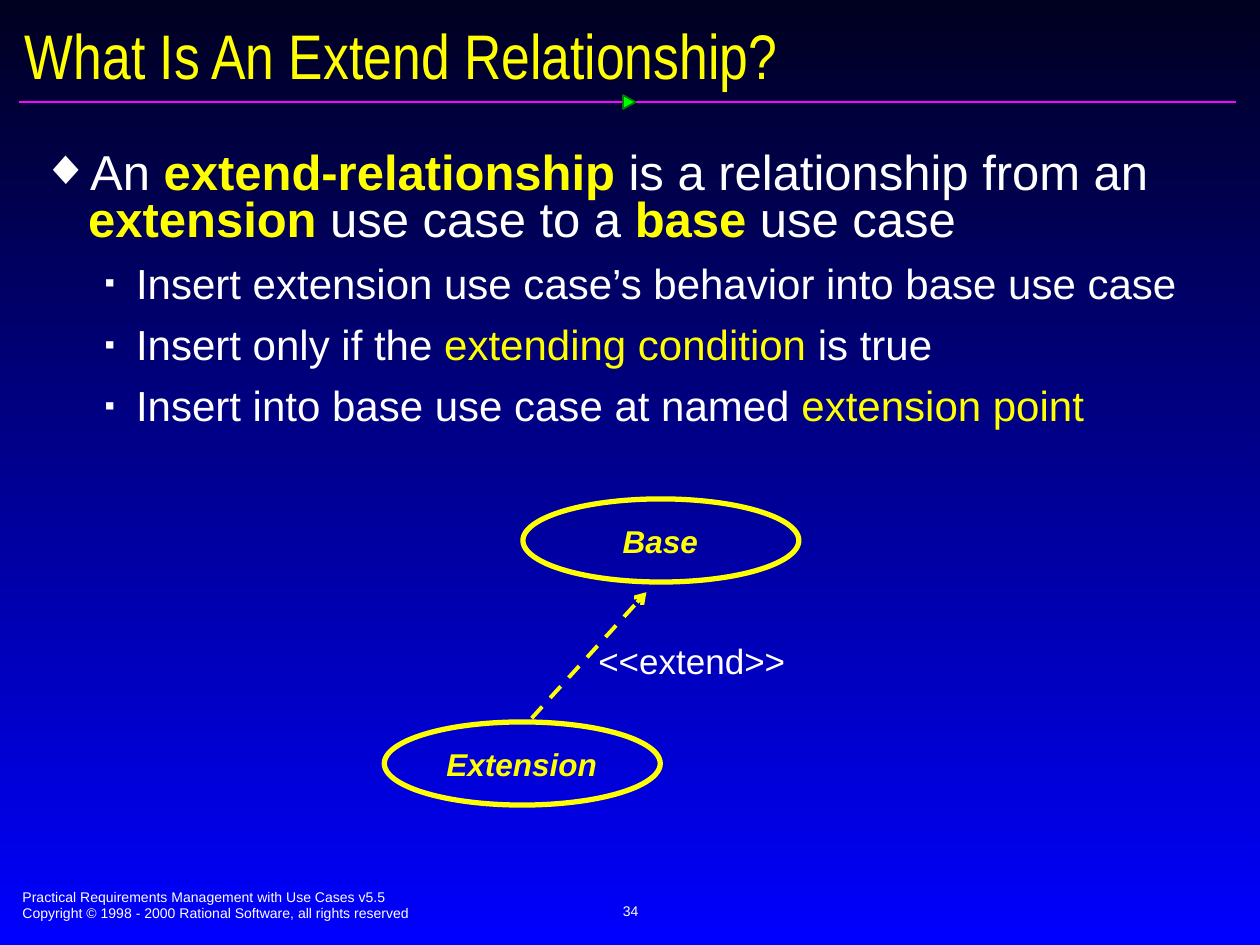
from dataclasses import dataclass

from lxml.etree import SubElement
from pptx import Presentation
from pptx.dml.color import RGBColor
from pptx.enum.dml import MSO_LINE
from pptx.enum.shapes import MSO_CONNECTOR, MSO_SHAPE
from pptx.enum.text import MSO_ANCHOR, MSO_AUTO_SIZE, PP_ALIGN
from pptx.oxml.ns import qn
from pptx.util import Inches, Pt

WHITE, YELLOW = "FFFFFF", "FFFF00"


@dataclass
class Span:
    text: str
    color: str = WHITE
    bold: bool = False


@dataclass
class Bullet:
    spans: list[Span]
    level: int = 1


@dataclass
class Level:
    symbol: str
    symbol_percent: int
    margin: float
    hanging: float
    spacing: float
    size: int


@dataclass
class Label:
    lines: list[str]
    left: float
    top: float
    width: float
    height: float
    size: int
    color: str = WHITE
    font: str = "Arial"
    centered: bool = False
    emphasis: bool = False
    middle: bool = False
    wrap: bool = False
    grow: bool = False


@dataclass
class UseCase:
    left: float
    top: float
    label: Label


LEVELS = [
    Level("◆", 100, 0.37, 0.37, 0.8, 28),
    Level("▪", 70, 0.75, 0.25, 0.87, 24),
]

BULLETS = [
    Bullet([
        Span("An "),
        Span("extend-relationship ", YELLOW, True),
        Span("is a relationship from an "),
        Span("extension", YELLOW, True),
        Span(" use case to a "),
        Span("base", YELLOW, True),
        Span(" use case"),
    ], level=0),
    Bullet([Span("Insert extension use case’s behavior into base use case")]),
    Bullet([Span("Insert only if the "), Span("extending condition", YELLOW), Span(" is true")]),
    Bullet([Span("Insert into base use case at named "), Span("extension point", YELLOW)]),
]

LABELS = [
    Label(["Practical Requirements Management with Use Cases v5.5",
           "Copyright © 1998 - 2000 Rational Software, all rights reserved"],
          0.08, 7, 5.1, 0.37, 8, wrap=True, grow=True),
    Label(["34"], 3.42, 6.98, 3.17, 0.5, 8, centered=True, middle=True),
    Label(["What Is An Extend Relationship?"], 0.1, 0.14, 9.84, 0.58, 36,
          YELLOW, "Arial Narrow", middle=True, wrap=True),
    Label(["<<extend>>"], 4.65, 5.03, 1.8, 0.45, 20),
]

USE_CASES = [
    UseCase(3.05, 5.73, Label(["Extension"], 3.34, 5.86, 1.6, 0.42, 18, YELLOW,
                              centered=True, emphasis=True)),
    UseCase(4.15, 3.96, Label(["Base"], 4.74, 4.09, 1, 0.42, 18, YELLOW,
                              centered=True, emphasis=True)),
]


def rgb(color: str) -> RGBColor:
    return RGBColor.from_string(color)


def add_text_frame(page, left: float, top: float, width: float, height: float, inset: float):
    box = page.shapes.add_textbox(Inches(left), Inches(top), Inches(width), Inches(height))
    frame = box.text_frame
    frame.margin_left = frame.margin_right = Inches(inset)
    frame.margin_top = frame.margin_bottom = Inches(inset / 2)
    return frame


def add_label(page, label: Label) -> None:
    frame = add_text_frame(page, label.left, label.top, label.width, label.height, 0.1)
    frame.word_wrap = label.wrap
    frame.auto_size = MSO_AUTO_SIZE.SHAPE_TO_FIT_TEXT if label.grow else MSO_AUTO_SIZE.NONE
    frame.vertical_anchor = MSO_ANCHOR.MIDDLE if label.middle else MSO_ANCHOR.TOP
    frame.text = "\n".join(label.lines)
    for para in frame.paragraphs:
        para.alignment = PP_ALIGN.CENTER if label.centered else PP_ALIGN.LEFT
        para.font.name = label.font
        para.font.size = Pt(label.size)
        para.font.bold = para.font.italic = label.emphasis
        para.font.color.rgb = rgb(label.color)


def set_bullet(para, level: Level) -> None:
    properties = para._p.get_or_add_pPr()
    properties.set("marL", str(Inches(level.margin)))
    properties.set("indent", str(-Inches(level.hanging)))
    color = SubElement(properties, qn("a:buClr"))
    SubElement(color, qn("a:srgbClr"), val=WHITE)
    SubElement(properties, qn("a:buSzPct"), val=str(level.symbol_percent * 1000))
    SubElement(properties, qn("a:buFont"), typeface="Arial")
    SubElement(properties, qn("a:buChar"), char=level.symbol)


def add_body(page, bullets: list[Bullet]) -> None:
    frame = add_text_frame(page, 0.21, 1.15, 9.32, 2.54, 0.12)
    frame.word_wrap = True
    for index, bullet in enumerate(bullets):
        para = frame.add_paragraph() if index else frame.paragraphs[0]
        level = LEVELS[bullet.level]
        para.level = bullet.level
        para.line_spacing = level.spacing
        para.space_before = Pt(5 if index else 0)
        para.space_after = Pt(5)
        set_bullet(para, level)
        para.font.name = "Arial"
        para.font.size = Pt(level.size)
        for part in bullet.spans:
            span = para.add_run()
            span.text = part.text
            span.font.bold = part.bold
            span.font.color.rgb = rgb(part.color)


def add_line(page, start: tuple[float, float], end: tuple[float, float], color: str, width: float):
    line = page.shapes.add_connector(MSO_CONNECTOR.STRAIGHT, *map(Inches, start + end))
    line.line.color.rgb = rgb(color)
    line.line.width = Pt(width)
    SubElement(line._element.spPr, qn("a:effectLst"))
    return line


def add_use_case(page, use_case: UseCase) -> None:
    oval = page.shapes.add_shape(MSO_SHAPE.OVAL, Inches(use_case.left), Inches(use_case.top),
                                 Inches(2.19), Inches(0.66))
    oval.shadow.inherit = False
    oval.fill.background()
    oval.line.color.rgb = rgb(YELLOW)
    oval.line.width = Pt(3)
    add_label(page, use_case.label)


def add_title_rule(page) -> None:
    add_line(page, (0.15, 0.81), (9.81, 0.81), "FF01FF", 1)
    marker = page.shapes.add_shape(MSO_SHAPE.ISOSCELES_TRIANGLE, Inches(4.94), Inches(0.76),
                                   Inches(0.11), Inches(0.1))
    marker.rotation = 90
    marker.shadow.inherit = False
    marker.fill.solid()
    marker.fill.fore_color.rgb = rgb("00FF00")
    marker.line.color.rgb = rgb("037C03")
    marker.line.width = Pt(1)


def set_background(page) -> None:
    fill = page.background.fill
    fill.gradient()
    fill.gradient_angle = 270
    for stop, position, color in zip(fill.gradient_stops, (0, 1), ("000021", "0000FF")):
        stop.position = position
        stop.color.rgb = rgb(color)


def main() -> None:
    deck = Presentation()
    deck.slide_width, deck.slide_height = Inches(10), Inches(7.5)
    page = deck.slides.add_slide(deck.slide_layouts[6])
    set_background(page)
    add_title_rule(page)
    add_body(page, BULLETS)
    for use_case in USE_CASES:
        add_use_case(page, use_case)
    arrow = add_line(page, (4.22, 5.7), (5.13, 4.7), YELLOW, 2.25)
    arrow.line.dash_style = MSO_LINE.DASH
    SubElement(arrow.line._get_or_add_ln(), qn("a:tailEnd"), type="arrow")
    for label in LABELS:
        add_label(page, label)
    deck.save("out.pptx")


if __name__ == "__main__":
    main()
